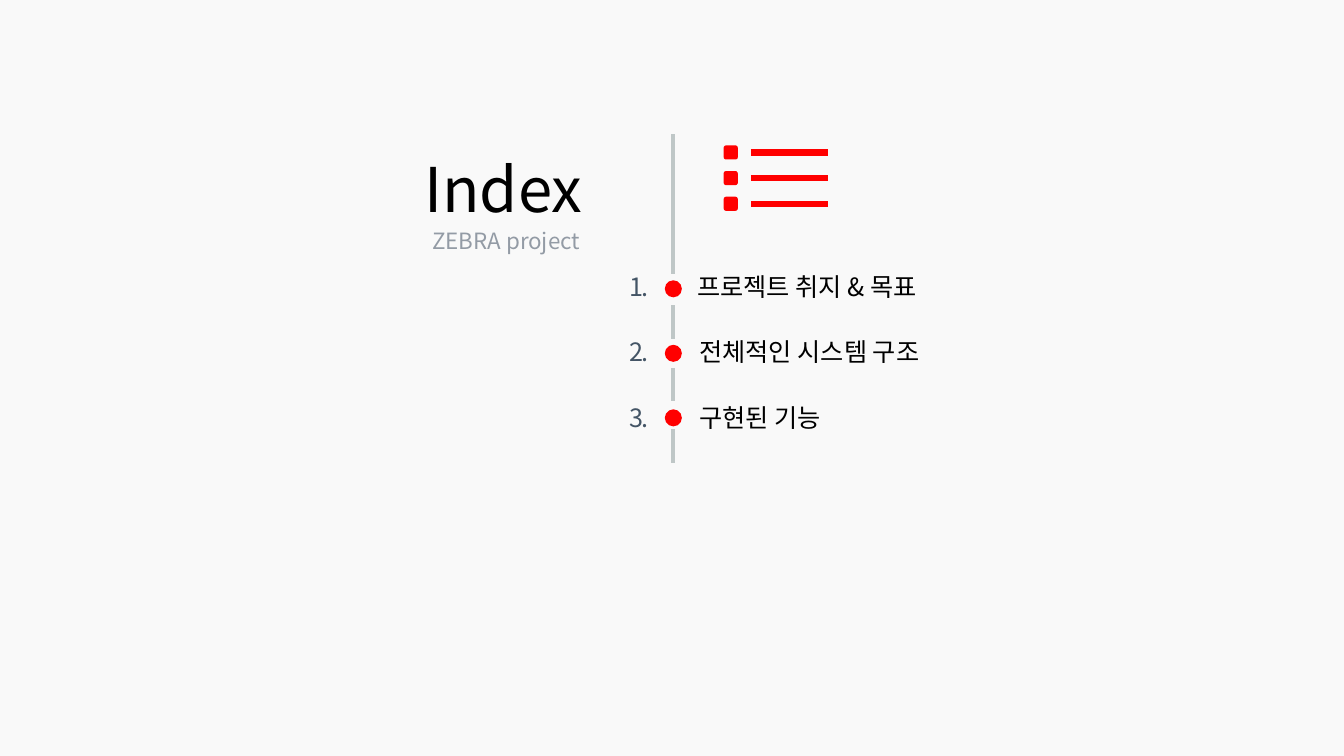
from dataclasses import dataclass

from lxml import etree
from pptx import Presentation
from pptx.dml.color import RGBColor
from pptx.enum import shapes, text
from pptx.oxml import ns
from pptx.util import Pt


@dataclass(frozen=True)
class Theme:
    font: str = "Noto Sans CJK KR"
    background: str = "F9F9F9"
    accent: str = "FF0000"
    rail: str = "BFC7C7"
    ink: str = "000000"
    number: str = "445566"
    muted: str = "939BA5"
    title_size: float = 44
    subtitle_size: float = 16
    topic_size: float = 18


@dataclass(frozen=True)
class Box:
    left: float
    top: float
    width: float
    height: float


@dataclass(frozen=True)
class Topic:
    label: str
    left: float
    top: float


THEME = Theme()
TOPICS = (
    Topic("프로젝트 취지 & 목표", 491, 190.5),
    Topic("전체적인 시스템 구조", 492.5, 236.5),
    Topic("구현된 기능", 492.5, 283.7),
)
RAIL_X = 481
RAIL_SPANS = ((95.8, 195.8), (218.2, 241.9), (262.8, 286.6), (306.7, 330.5))
FIRST_DOT_Y, DOT_PITCH, DOT_SIZE = 206.3, 46.1, 12.2
FIRST_ICON_Y, ICON_PITCH, BULLET_SIZE = 108.9, 18.35, 10.1


def write(shape, words: str, size: float, color: str, align, spacing: float = 0) -> None:
    """Fill a shape's text frame with one formatted line."""
    frame = shape.text_frame
    frame.word_wrap = True
    frame.vertical_anchor = text.MSO_ANCHOR.TOP
    frame.text = words
    line = frame.paragraphs[0]
    line.alignment = align
    line.font.size = Pt(size)
    line.font.color.rgb = RGBColor.from_string(color)
    line.font.name = THEME.font
    defaults = line._p.get_or_add_pPr().get_or_add_defRPr()
    etree.SubElement(defaults, ns.qn("a:ea"), typeface=THEME.font)
    if spacing:
        defaults.set("spc", str(round(spacing * 100)))


def place(shape, box: Box) -> None:
    shape.left, shape.top = Pt(box.left), Pt(box.top)
    shape.width, shape.height = Pt(box.width), Pt(box.height)


def add_text(slide, box: Box, words: str, size: float, color: str, align,
             spacing: float = 0) -> None:
    label = slide.shapes.add_textbox(0, 0, 0, 0)
    place(label, box)
    write(label, words, size, color, align, spacing)


def add_marker(slide, kind, center_x: float, center_y: float, size: float) -> None:
    marker = slide.shapes.add_shape(
        kind, Pt(center_x - size / 2), Pt(center_y - size / 2), Pt(size), Pt(size))
    marker.shadow.inherit = False
    marker.fill.solid()
    marker.fill.fore_color.rgb = RGBColor.from_string(THEME.accent)
    marker.line.fill.background()


def add_line(slide, start: tuple[float, float], end: tuple[float, float],
             color: str, width: float) -> None:
    line = slide.shapes.add_connector(
        shapes.MSO_CONNECTOR.STRAIGHT, *(Pt(value) for value in start + end))
    line.line.color.rgb = RGBColor.from_string(color)
    line.line.width = Pt(width)
    etree.SubElement(line._element.spPr, ns.qn("a:effectLst"))


def main() -> None:
    deck = Presentation()
    deck.slide_width, deck.slide_height = Pt(960), Pt(540)
    slide = deck.slides.add_slide(deck.slide_layouts[5])
    slide.background.fill.solid()
    slide.background.fill.fore_color.rgb = RGBColor.from_string(THEME.background)

    # Heading
    title = slide.shapes.title
    place(title, Box(203, 104.4, 220.3, 60.5))
    write(title, "Index", THEME.title_size, THEME.ink, text.PP_ALIGN.RIGHT)
    add_text(slide, Box(222.6, 158.4, 278, 26.6), "ZEBRA project",
             THEME.subtitle_size, THEME.muted, text.PP_ALIGN.CENTER)

    # List icon
    for row in range(3):
        y = FIRST_ICON_Y + row * ICON_PITCH
        add_marker(slide, shapes.MSO_SHAPE.ROUNDED_RECTANGLE, 522, y, BULLET_SIZE)
        add_line(slide, (536.4, y), (591.8, y), THEME.accent, 4.5)

    # Broken vertical rail
    for top, bottom in RAIL_SPANS:
        add_line(slide, (RAIL_X, top), (RAIL_X, bottom), THEME.rail, 3)

    # Numbered topics
    for index, topic in enumerate(TOPICS):
        add_marker(slide, shapes.MSO_SHAPE.OVAL, RAIL_X,
                   FIRST_DOT_Y + index * DOT_PITCH, DOT_SIZE)
        add_text(slide, Box(434.9, topic.top, 43.2, 29), f"{index + 1}.",
                 THEME.topic_size, THEME.number, text.PP_ALIGN.CENTER, -1.5)
        add_text(slide, Box(topic.left, topic.top, 242.6, 29), topic.label,
                 THEME.topic_size, THEME.ink, text.PP_ALIGN.LEFT)

    deck.save("out.pptx")


if __name__ == "__main__":
    main()
